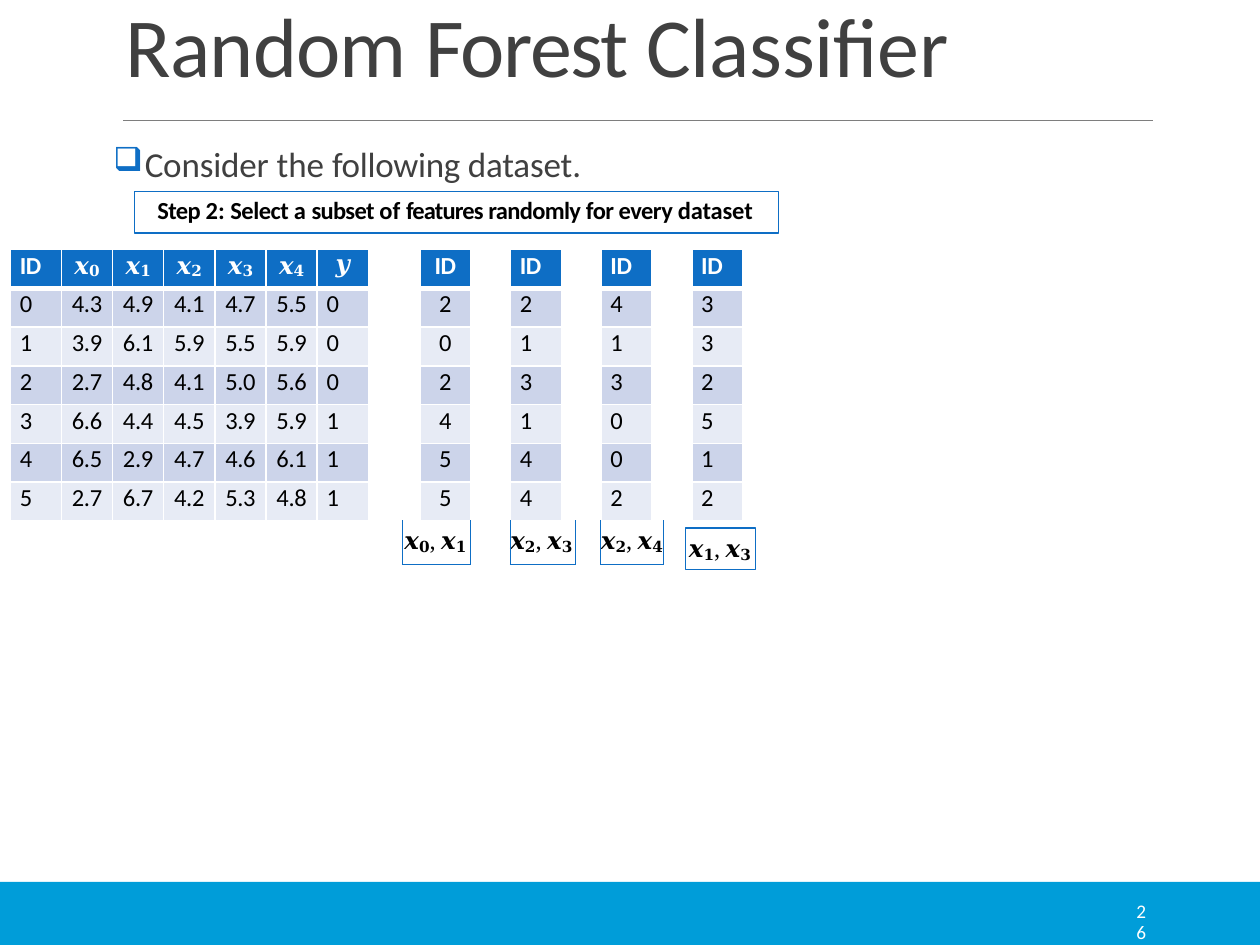
from lxml.etree import SubElement
from pptx import Presentation
from pptx.dml.color import RGBColor
from pptx.enum.shapes import MSO_CONNECTOR, MSO_SHAPE
from pptx.enum.text import MSO_ANCHOR, PP_ALIGN
from pptx.oxml import parse_xml
from pptx.oxml.ns import nsdecls, qn
from pptx.util import Pt

COLORS = {
    "band": "009DD9", "blue": "0E6EC5", "rule": "7E7E7E", "text": "404040",
    "black": "000000", "white": "FFFFFF", "odd": "CCD4EA", "even": "E7EBF5",
}
MATH_FONT = "Times New Roman"
DIGITS = "𝟎𝟏𝟐𝟑𝟒"
COLUMN, ROW, TABLE_TOP = 29.25, 22.15, 142.6
THIN, THICK = ("white", 1), ("white", 3)
BLUE = ("blue", 0.75)

DATASET = [
    ["0", "4.3", "4.9", "4.1", "4.7", "5.5", "0"],
    ["1", "3.9", "6.1", "5.9", "5.5", "5.9", "0"],
    ["2", "2.7", "4.8", "4.1", "5.0", "5.6", "0"],
    ["3", "6.6", "4.4", "4.5", "3.9", "5.9", "1"],
    ["4", "6.5", "2.9", "4.7", "4.6", "6.1", "1"],
    ["5", "2.7", "6.7", "4.2", "5.3", "4.8", "1"],
]


def color(name):
    """Return the named colour."""
    return RGBColor.from_string(COLORS[name])


def write(paragraph, runs, size, color_name, bold=False, before=0.8, indent=0, font="Calibri"):
    """Fill a paragraph with (text, letter spacing[, subscript]) runs."""
    paragraph.space_before = Pt(before)
    paragraph.font.size = Pt(size)
    paragraph.font.name = font
    paragraph.font.bold = bold
    paragraph.font.color.rgb = color(color_name)
    paragraph._p.get_or_add_pPr().set("marL", str(Pt(indent)))
    for text, spacing, *subscript in runs:
        run = paragraph.add_run()
        run.text = text
        properties = run._r.get_or_add_rPr()
        properties.set("spc", str(round(spacing * 100)))
        if subscript:
            run.font.size = Pt(size + 1)
            properties.set("baseline", "-11000")


def feature(index):
    """Return the runs of one feature symbol."""
    return [("𝒙", -0.2), (DIGITS[index], -0.4, True)]


def feature_pair(first, second):
    """Return the runs of two features with a comma."""
    return feature(first) + [(", ", -0.2)] + feature(second)


def prepare(frame, top):
    """Set the margins and wrapping of a text frame."""
    frame.word_wrap = True
    frame.vertical_anchor = MSO_ANCHOR.TOP
    frame.margin_left = frame.margin_right = frame.margin_bottom = 0
    frame.margin_top = Pt(top)
    return frame


def add_text(slide, left, top, width, height):
    """Add a text box and return its frame."""
    box = slide.shapes.add_textbox(Pt(left), Pt(top), Pt(width), Pt(height))
    return prepare(box.text_frame, 0.9)


def add_box(slide, left, top, width, height):
    """Add an outlined rectangle and return its paragraph."""
    shape = slide.shapes.add_shape(MSO_SHAPE.RECTANGLE, Pt(left), Pt(top), Pt(width), Pt(height))
    shape.shadow.inherit = False
    shape.fill.background()
    shape.line.color.rgb = color("blue")
    shape.line.width = Pt(0.75)
    paragraph = prepare(shape.text_frame, 2).paragraphs[0]
    paragraph.alignment = PP_ALIGN.LEFT
    return paragraph


def add_bullet(paragraph):
    """Give a written paragraph a square bullet."""
    properties = paragraph._p.get_or_add_pPr()
    properties.set("indent", str(-Pt(18)))
    fonts = properties[-1]
    for tag in (
        f'<a:buClr {nsdecls("a")}><a:srgbClr val="{COLORS["blue"]}"/></a:buClr>',
        f'<a:buSzPct {nsdecls("a")} val="95000"/>',
        f'<a:buChar {nsdecls("a")} char="❑"/>',
    ):
        fonts.addprevious(parse_xml(tag))


def set_borders(cell, left=THIN, right=THIN, top=THIN, bottom=THIN):
    """Draw the four borders of a cell."""
    properties = cell._tc.get_or_add_tcPr()
    edges = zip(("a:lnL", "a:lnR", "a:lnT", "a:lnB"), (left, right, top, bottom))
    for position, (tag, (name, width)) in enumerate(edges):
        line = SubElement(properties, qn(tag), w=str(Pt(width)))
        fill = SubElement(line, qn("a:solidFill"))
        SubElement(fill, qn("a:srgbClr"), val=COLORS[name])
        properties.insert(position, line)


def set_margins(cell, top=0.7):
    """Leave only a top margin in a cell."""
    cell.margin_left = cell.margin_right = cell.margin_bottom = 0
    cell.margin_top = Pt(top)


def fill_cell(cell, row, runs, centered, font="Calibri"):
    """Write a header or body cell with the fill of its row."""
    header = row == 0
    set_margins(cell)
    paragraph = cell.text_frame.paragraphs[0]
    write(paragraph, runs, 14, "white" if header else "black",
          bold=header and font == "Calibri", indent=0 if centered else 5.4, font=font)
    paragraph.alignment = PP_ALIGN.CENTER if centered else PP_ALIGN.LEFT
    cell.fill.solid()
    cell.fill.fore_color.rgb = color("blue" if header else "odd" if row % 2 else "even")
    set_borders(cell, top=THICK if row == 1 else THIN, bottom=THICK if header else THIN)


def blank_cell(cell):
    """Leave a cell empty and unfilled."""
    set_margins(cell)
    cell.fill.background()
    cell.text_frame.paragraphs[0]._p.get_or_add_endParaRPr().set("sz", "800")
    set_borders(cell)


def add_table(slide, left, widths, heights):
    """Add an unstyled table with the given grid."""
    table = slide.shapes.add_table(len(heights), len(widths), Pt(left), Pt(TABLE_TOP),
                                   Pt(sum(widths)), Pt(sum(heights))).table
    table.first_row = table.horz_banding = False
    for column, width in zip(table.columns, widths):
        column.width = Pt(width)
    for row, height in zip(table.rows, heights):
        row.height = Pt(height)
    return table


def add_dataset(slide):
    """Add the full dataset table."""
    table = add_table(slide, 5.9, [COLUMN] * 7, [ROW] * 7)
    heads = [[("ID", -0.2)], *map(feature, range(5)), [("𝒚", -0.5)]]
    for column, runs in enumerate(heads):
        fill_cell(table.cell(0, column), 0, runs, column > 0, MATH_FONT if column else "Calibri")
    for row, values in enumerate(DATASET, 1):
        for column, value in enumerate(values):
            fill_cell(table.cell(row, column), row, [(value, -0.2)], 0 < column < 6)


def add_sample(slide, left, ids, gap=0, features=None, gap_first=False):
    """Add a sample of IDs, with its features in a last row if given."""
    widths = [gap, COLUMN] if gap_first else [COLUMN, gap] if gap else [COLUMN]
    heights = [ROW] * 7 + ([25] if features else [])
    table = add_table(slide, left, widths, heights)
    id_column = int(gap_first)
    for row, text in enumerate(["ID", *ids]):
        fill_cell(table.cell(row, id_column), row, [(text, -0.2)], gap_first)
        if gap:
            blank_cell(table.cell(row, 1 - id_column))
    if gap_first:
        table.cell(0, 0).merge(table.cell(6, 0))
    if features:
        cell = table.cell(7, 0)
        cell.merge(table.cell(7, 1))
        set_margins(cell, 3)
        write(cell.text_frame.paragraphs[0], feature_pair(*features), 14, "black",
              before=3, indent=1.2 if gap_first else 0, font=MATH_FONT)
        cell.fill.background()
        set_borders(cell, left=BLUE, right=BLUE, bottom=BLUE)


def add_frame(slide):
    """Add the footer band, the title rule and the page number."""
    band = slide.shapes.add_shape(MSO_SHAPE.RECTANGLE, 0, Pt(504), Pt(720), Pt(36))
    band.shadow.inherit = False
    band.fill.solid()
    band.fill.fore_color.rgb = color("band")
    band.line.fill.background()
    rule = slide.shapes.add_connector(MSO_CONNECTOR.STRAIGHT, Pt(70.4), Pt(69), Pt(659), Pt(69))
    rule.line.color.rgb = color("rule")
    rule.line.width = Pt(0.5)
    SubElement(rule._element.spPr, qn("a:effectLst"))
    frame = add_text(slide, 648.7, 514, 8, 26)
    for paragraph, digit in zip((frame.paragraphs[0], frame.add_paragraph()), "26"):
        write(paragraph, [(digit, -0.5)], 11, "white", before=1 if digit == "2" else 0, indent=0.7)
        paragraph.line_spacing = Pt(12)


def main():
    """Build the slide and save it."""
    presentation = Presentation()
    presentation.slide_width, presentation.slide_height = Pt(720), Pt(540)
    slide = presentation.slides.add_slide(presentation.slide_layouts[6])
    add_frame(slide)
    write(add_text(slide, 21.6, -4.3, 618, 61).paragraphs[0],
          [("Random ", -0.5), ("Forest ", -0.9), ("Classifier", -0.2)],
          48, "text", before=1, indent=50.4)
    intro = add_text(slide, 64, 80.6, 270, 26).paragraphs[0]
    write(intro, [("Consider ", -0.1), ("the ", 0), ("following ", -0.2), ("dataset.", -0.1)],
          20, "text", before=1, indent=18.7)
    add_bullet(intro)
    write(add_box(slide, 77, 109.4, 368, 23.8),
          [("Step ", -0.4), ("2: ", 0), ("Select ", -0.3), ("a ", 0), ("subset ", -0.4), ("of ", 0),
           ("features ", -0.5), ("randomly ", -0.4), ("for every ", -0.3), ("dataset", -0.1)],
          14, "black", bold=True, before=1.8, indent=13)
    add_sample(slide, 229.9, "202455", 10, (0, 1), gap_first=True)
    add_sample(slide, 291.6, "213144", 8, (2, 3))
    add_sample(slide, 343.4, "413002", 6.6, (2, 4))
    write(add_box(slide, 391.7, 301.7, 40, 23.6), feature_pair(1, 3),
          14, "black", before=1.9, indent=2, font=MATH_FONT)
    add_dataset(slide)
    add_sample(slide, 395.3, "332512")
    presentation.save("out.pptx")


if __name__ == "__main__":
    main()
